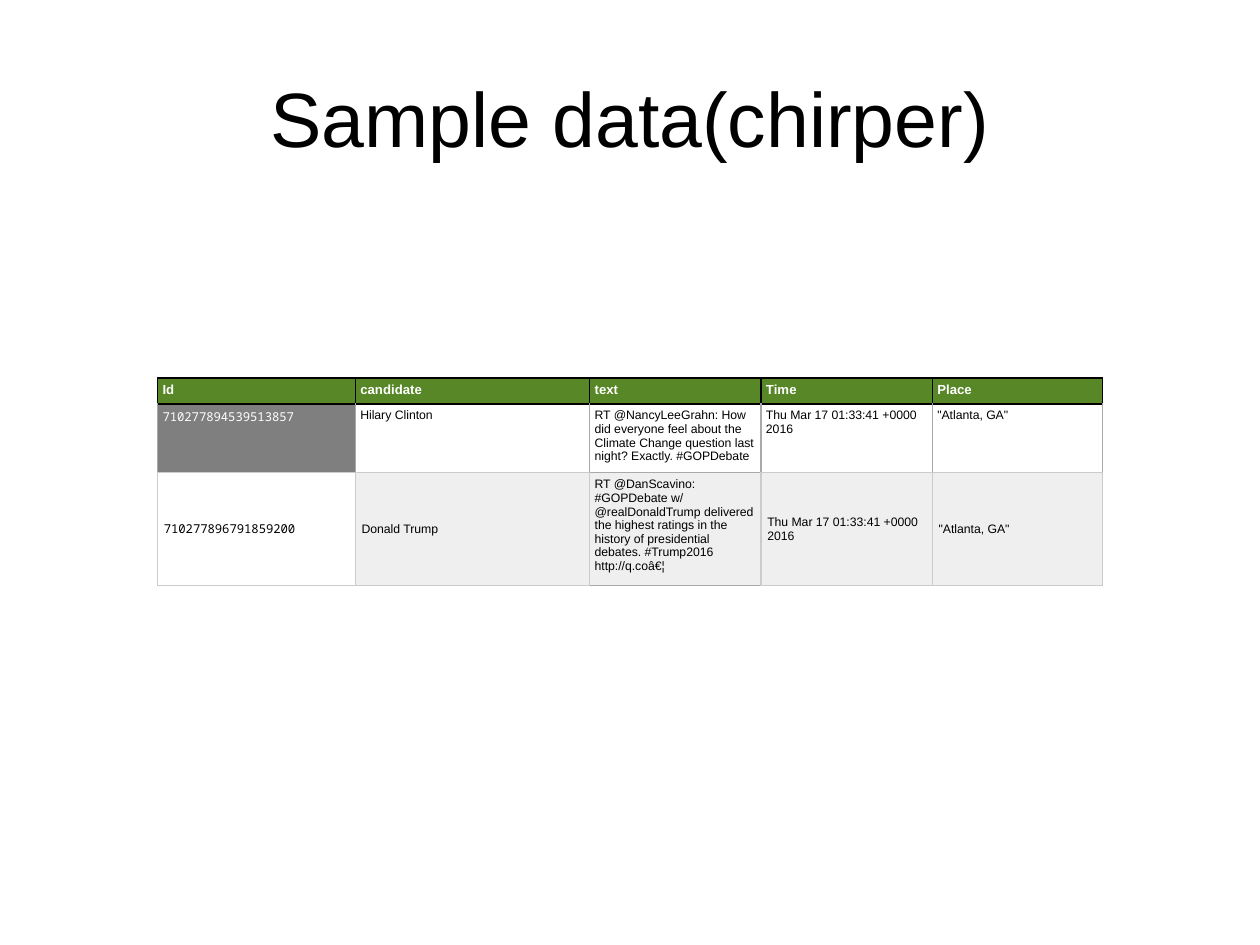
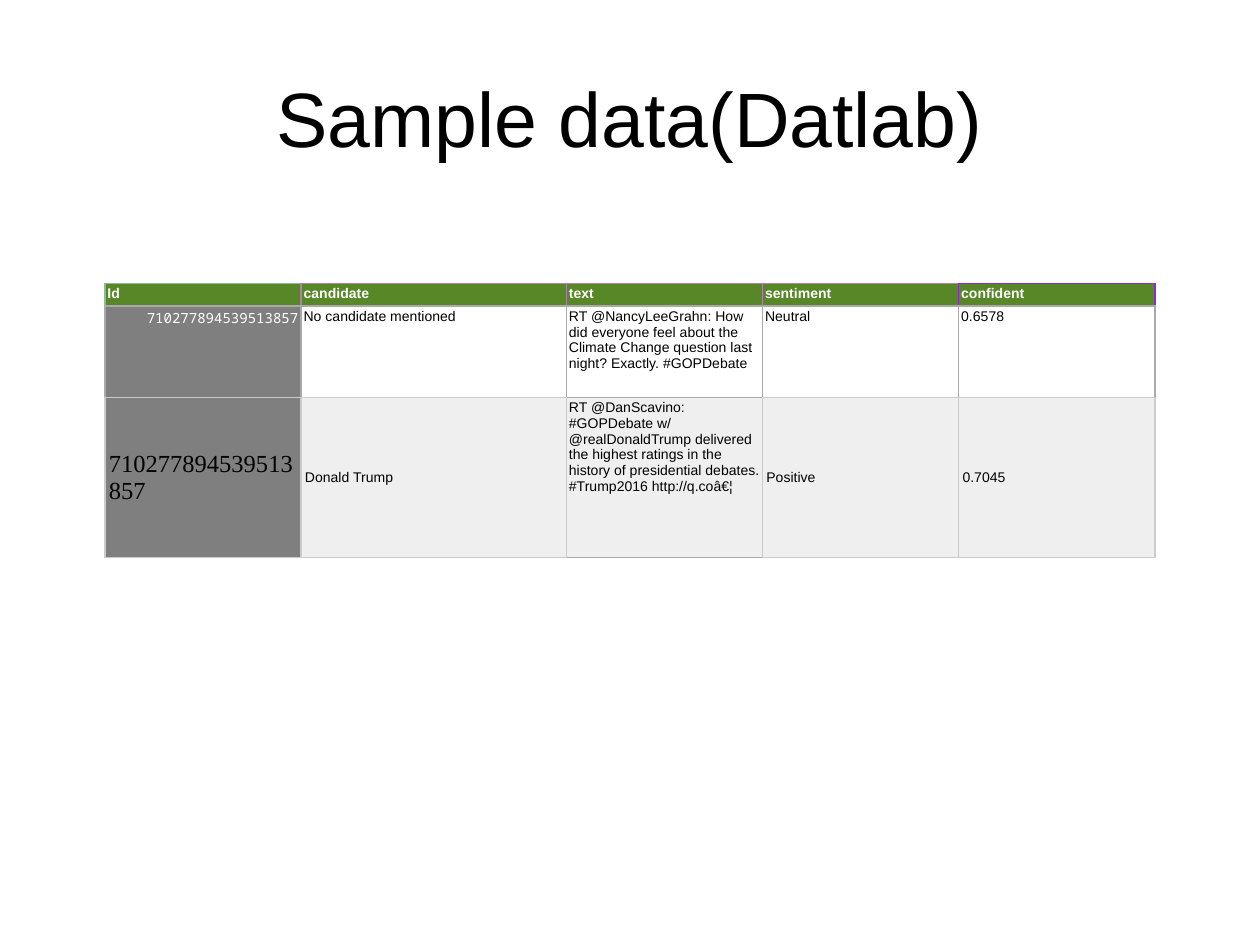
"""Build two slides that each show a sample data table under a shared title style."""
import dataclasses

import lxml.etree
import pptx
import pptx.dml.color
import pptx.enum.text
import pptx.oxml.ns
import pptx.util


@dataclasses.dataclass(frozen=True)
class Theme:
    sans: str = "Arial"
    mono: str = "Noto Sans Mono"
    serif: str = "Times New Roman"
    title_size: float = 44
    large_id_size: float = 14
    black: str = "000000"
    white: str = "FFFFFF"
    green: str = "578726"
    dark_grey: str = "7F7F7F"
    pale_grey: str = "EFEFEF"
    rule_grey: str = "A9A9A9"
    light_rule: str = "CBCBCB"
    sage: str = "90BA95"
    mauve: str = "B081AC"
    violet: str = "902CCD"


theme = Theme()
align = pptx.enum.text.PP_ALIGN
anchor = pptx.enum.text.MSO_ANCHOR


def write_run(paragraph, words, font, size, colour, bold=False):
    run = paragraph.add_run()
    run.text = words
    run.font.name = font
    run.font.size = pptx.util.Pt(size)
    run.font.bold = bold
    run.font.color.rgb = pptx.dml.color.RGBColor.from_string(colour)


def rule_cell(cell, colours):
    properties = cell._tc.get_or_add_tcPr()
    for side, colour in zip("LRTB", colours):
        line = lxml.etree.SubElement(properties, pptx.oxml.ns.qn(f"a:ln{side}"),
                                     w=str(pptx.util.Pt(1)))
        solid = lxml.etree.SubElement(line, pptx.oxml.ns.qn("a:solidFill"))
        lxml.etree.SubElement(solid, pptx.oxml.ns.qn("a:srgbClr"), val=colour)


climate_tweet = ("RT @NancyLeeGrahn: How did everyone feel about the Climate Change "
                 "question last night? Exactly. #GOPDebate")
ratings_tweet = ("RT @DanScavino: #GOPDebate w/ @realDonaldTrump delivered the highest ratings "
                 "in the history of presidential debates. #Trump2016 http://q.coâ€¦")
tweet_time = "Thu Mar 17 01:33:41 +0000 2016"
first_id = "710277894539513857"
TEXT_COLUMN = 2

samples = [
    dict(
        title="Sample data(chirper)",
        top=0.4, width=0.75, height=0.21,
        columns=[1.57, 1.86, 1.36, 1.36, 1.35], rows=[0.2, 0.51, 0.85],
        header_size=7.5, body_size=7, inset=0.04, middle_inset=0.05,
        header_rules=[[theme.black] * 4] * 5,
        header_base=theme.black,
        id_fills=[theme.dark_grey, theme.white],
        id_aligns=[align.LEFT, align.LEFT],
        last_id=(theme.mono, 7),
        last_align=align.LEFT,
        records=[
            ["Id", "candidate", "text", "Time", "Place"],
            [first_id, "Hilary Clinton", climate_tweet, tweet_time, '"Atlanta, GA"'],
            ["710277896791859200", "Donald Trump", ratings_tweet, tweet_time, '"Atlanta, GA"'],
        ],
    ),
    dict(
        title="Sample data(Datlab)",
        top=0.3, width=5 / 6, height=0.29,
        columns=[1.56, 2.11, 1.56, 1.56, 1.56], rows=[0.18, 0.73, 1.28],
        header_size=8, body_size=8, inset=0.02, middle_inset=0.03,
        header_rules=[
            [theme.sage, theme.mauve, theme.sage, theme.rule_grey],
            *[[theme.mauve, theme.mauve, theme.mauve, theme.rule_grey]] * 2,
            [theme.mauve, theme.violet, theme.mauve, theme.rule_grey],
            [theme.violet, theme.violet, theme.violet, theme.rule_grey],
        ],
        header_base=theme.rule_grey,
        id_fills=[theme.dark_grey, theme.dark_grey],
        id_aligns=[align.RIGHT, align.LEFT],
        last_id=(theme.serif, theme.large_id_size),
        last_align=align.JUSTIFY,
        records=[
            ["Id", "candidate", "text", "sentiment", "confident"],
            [first_id, "No candidate mentioned", climate_tweet, "Neutral", "0.6578"],
            [first_id, "Donald Trump", ratings_tweet, "Positive", "0.7045"],
        ],
    ),
]

deck = pptx.Presentation()
deck.slide_width = pptx.util.Inches(10)
deck.slide_height = pptx.util.Inches(7.5)
wide, high = deck.slide_width, deck.slide_height

for sample in samples:
    slide = deck.slides.add_slide(deck.slide_layouts[6])

    heading = slide.shapes.add_textbox(int(0.05 * wide), int(0.04 * high),
                                       int(0.9 * wide), int(high / 6)).text_frame
    heading.word_wrap = True
    heading.vertical_anchor = anchor.MIDDLE
    heading.paragraphs[0].alignment = align.CENTER
    write_run(heading.paragraphs[0], sample["title"], theme.sans, theme.title_size, theme.black)

    grid_width, grid_height = sample["width"] * wide, sample["height"] * high
    grid = slide.shapes.add_table(
        len(sample["rows"]), len(sample["columns"]),
        int((wide - grid_width) / 2), int(sample["top"] * high),
        int(grid_width), int(grid_height)).table
    grid.first_row = False
    grid.horz_banding = False
    for column, weight in zip(grid.columns, sample["columns"]):
        column.width = int(grid_width * weight / sum(sample["columns"]))
    for row, weight in zip(grid.rows, sample["rows"]):
        row.height = int(grid_height * weight / sum(sample["rows"]))

    for r, record in enumerate(sample["records"]):
        for c, words in enumerate(record):
            cell = grid.cell(r, c)
            is_text = c == TEXT_COLUMN
            font, size, colour = theme.sans, sample["body_size"], theme.black
            alignment = align.LEFT
            if r == 0:
                size, colour, fill = sample["header_size"], theme.white, theme.green
                rules = sample["header_rules"][c]
            elif r == 1:
                fill = theme.white
                rules = [theme.rule_grey, theme.rule_grey, sample["header_base"],
                         theme.rule_grey if is_text else theme.light_rule]
            else:
                fill = theme.pale_grey
                rules = ([theme.light_rule] * 2
                         + [theme.rule_grey if is_text else theme.light_rule] * 2)
                if c == len(record) - 1:
                    alignment = sample["last_align"]
            if r and c == 0:
                fill, alignment = sample["id_fills"][r - 1], sample["id_aligns"][r - 1]
                if r == 1:
                    font, colour = theme.mono, theme.white
                else:
                    font, size = sample["last_id"]

            centred = r == 2 and not is_text
            side = sample["middle_inset"] if centred else sample["inset"]
            cell.margin_left = cell.margin_right = pptx.util.Inches(side)
            cell.margin_top = cell.margin_bottom = pptx.util.Inches(0 if centred else side)
            cell.vertical_anchor = anchor.MIDDLE if centred else anchor.TOP
            rule_cell(cell, rules)
            cell.fill.solid()
            cell.fill.fore_color.rgb = pptx.dml.color.RGBColor.from_string(fill)
            paragraph = cell.text_frame.paragraphs[0]
            paragraph.alignment = alignment
            write_run(paragraph, words, font, size, colour, bold=r == 0)

deck.save("out.pptx")
